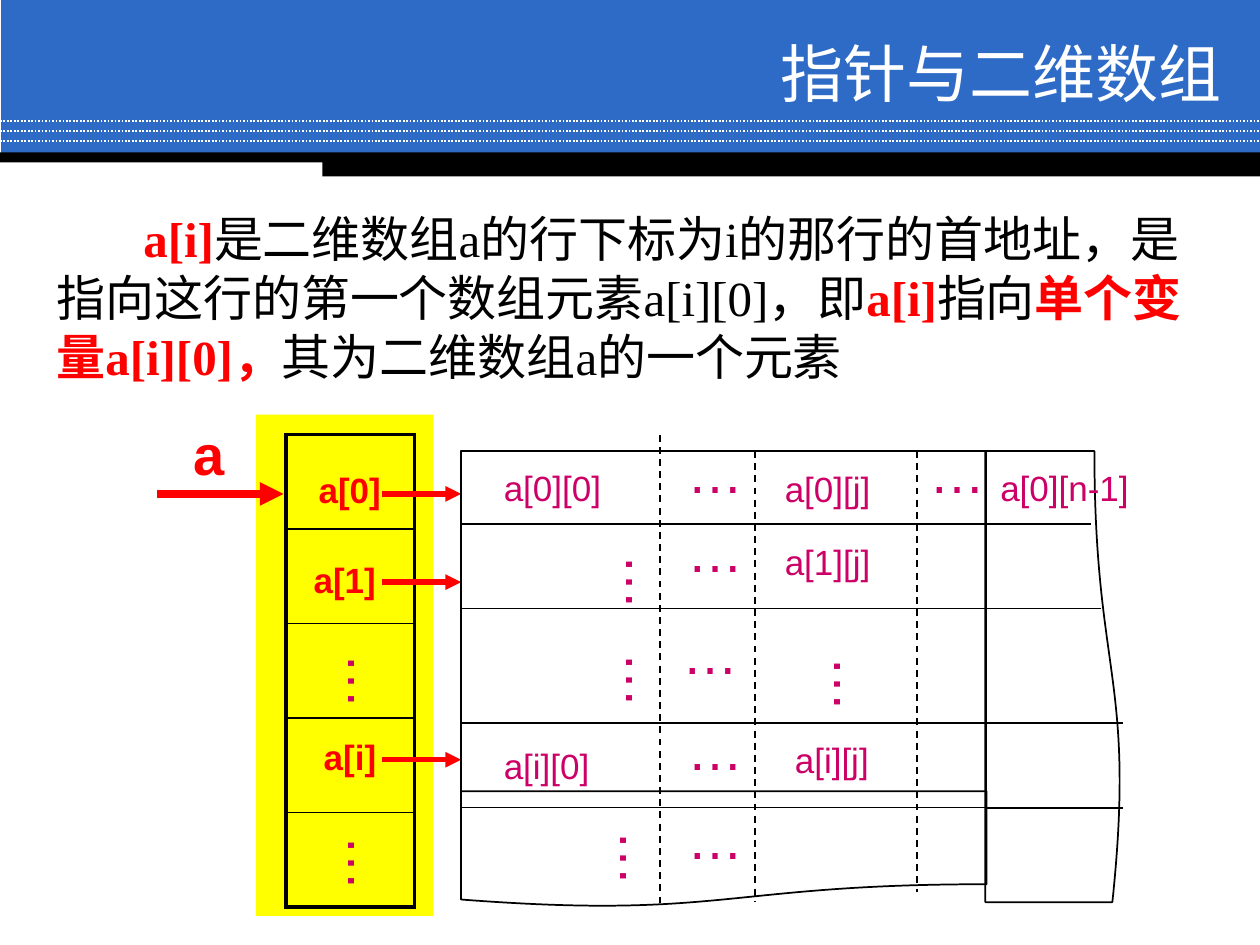
import dataclasses

import lxml.etree
import pptx
import pptx.dml.color
import pptx.enum.dml
import pptx.enum.shapes
import pptx.enum.text
import pptx.oxml.ns
import pptx.util

Inches = pptx.util.Inches
Pt = pptx.util.Pt
Shape = pptx.enum.shapes.MSO_SHAPE
Dash = pptx.enum.dml.MSO_LINE
Align = pptx.enum.text.PP_ALIGN
Anchor = pptx.enum.text.MSO_ANCHOR
qn = pptx.oxml.ns.qn


@dataclasses.dataclass(frozen=True)
class Theme:
    blue: str = "2D6BC7"
    black: str = "000000"
    white: str = "FFFFFF"
    yellow: str = "FFFF00"
    red: str = "FF0000"
    magenta: str = "CC0066"
    title: int = 36
    large: int = 32
    body: int = 28
    label: int = 20
    sans: str = "Arial"
    serif: str = "Times New Roman"
    chinese: str = "Noto Sans CJK SC"


@dataclasses.dataclass(frozen=True)
class Box:
    left: float
    top: float
    width: float
    height: float

    def inner(self, x, y, width, height):
        return Box(self.left + x, self.top + y, width, height)

    def lengths(self):
        return [Inches(value) for value in (self.left, self.top, self.width, self.height)]


THEME = Theme()


def rgb(value):
    return pptx.dml.color.RGBColor.from_string(value)


def add_text(page, box, spans, size=THEME.label, color=THEME.magenta, bold=False,
             font=THEME.sans, align=Align.LEFT, anchor=Anchor.TOP, vertical=False,
             margin=0, indent=0, spacing=None):
    frame = page.shapes.add_textbox(*box.lengths()).text_frame
    frame.word_wrap = True
    frame.vertical_anchor = anchor
    if vertical:
        frame._txBody.bodyPr.set("vert", "eaVert")
    para = frame.paragraphs[0]
    para.alignment = align
    para.line_spacing = spacing
    if margin or indent:
        properties = para._p.get_or_add_pPr()
        properties.set("marL", str(Inches(margin)))
        properties.set("indent", str(Inches(indent)))
    if isinstance(spans, str):
        spans = [(spans, color, bold)]
    for words, span_color, span_bold in spans:
        span = para.add_run()
        span.text = words
        span.font.size = Pt(size)
        span.font.name = font
        span.font.bold = span_bold
        span.font.color.rgb = rgb(span_color)
        if font != THEME.sans:
            east_asian = lxml.etree.SubElement(span._r.rPr, qn("a:ea"))
            east_asian.set("typeface", THEME.chinese)


def add_dots(page, box, x, y, vertical=False):
    size = (0.73, 0.75) if vertical else (0.67, 0.63)
    add_text(page, box.inner(x, y, *size), "…", size=THEME.large, vertical=vertical)


def add_block(page, box, kind=Shape.RECTANGLE, fill=None, outline=None, rotation=0):
    block = page.shapes.add_shape(kind, *box.lengths())
    block.shadow.inherit = False
    block.rotation = rotation
    if fill:
        block.fill.solid()
        block.fill.fore_color.rgb = rgb(fill)
    else:
        block.fill.background()
    if outline:
        block.line.color.rgb = rgb(outline)
        block.line.width = Pt(1)
    else:
        block.line.fill.background()


def add_line(page, box, start, end, color=THEME.black, width=1, dash=None, arrow=False):
    ends = [Inches(value) for x, y in (start, end) for value in (box.left + x, box.top + y)]
    line = page.shapes.add_connector(pptx.enum.shapes.MSO_CONNECTOR.STRAIGHT, *ends)
    line.line.color.rgb = rgb(color)
    line.line.width = Pt(width)
    if dash:
        line.line.dash_style = dash
    if arrow:
        lxml.etree.SubElement(line.line._get_or_add_ln(), qn("a:tailEnd")).set("type", "triangle")
    lxml.etree.SubElement(line._element.spPr, qn("a:effectLst"))


def set_borders(cell, **widths):
    properties = cell._tc.get_or_add_tcPr()
    for position, (side, width) in enumerate(widths.items()):
        border = lxml.etree.Element(qn(f"a:ln{side}"), w=str(Pt(width)))
        fill = lxml.etree.SubElement(border, qn("a:solidFill"))
        lxml.etree.SubElement(fill, qn("a:srgbClr")).set("val", THEME.black)
        properties.insert(position, border)


def add_pointer_table(page, box, rows):
    table = page.shapes.add_table(rows, 1, *box.lengths()).table
    table.first_row = table.horz_banding = False
    for index in range(rows):
        cell = table.cell(index, 0)
        cell.fill.background()
        set_borders(cell, L=2.25, R=2.25, T=2.25 if index == 0 else 1,
                    B=2.25 if index == rows - 1 else 1)


def add_header(page, box):
    add_block(page, box.inner(0.01, 0, box.width - 0.01, 1.23), fill=THEME.blue)
    for y in (0.96, 1.04, 1.12):
        add_line(page, box, (0, y), (box.width, y), color=THEME.white, dash=Dash.ROUND_DOT)
    add_block(page, box.inner(0, 1.21, box.width, 0.08), fill=THEME.black)
    add_block(page, box.inner(2.56, 1.24, box.width - 2.56, 0.16), fill=THEME.black)
    add_text(page, box.inner(2.87, 0.28, 6.92, 0.58), "指针与二维数组", size=THEME.title,
             color=THEME.white, font=THEME.chinese, align=Align.RIGHT, anchor=Anchor.MIDDLE)


def add_explanation(page, box):
    spans = [
        ("a[i]", THEME.red, True),
        ("是二维数组a的行下标为i的那行的首地址，是指向这行的第一个数组元素a[i][0]，即",
         THEME.black, False),
        ("a[i]", THEME.red, True),
        ("指向", THEME.black, False),
        ("单个变量a[i][0]，", THEME.red, True),
        ("其为二维数组a的一个元素", THEME.black, False),
    ]
    add_text(page, box, spans, size=THEME.body, font=THEME.serif,
             margin=0.09, indent=0.69, spacing=Pt(33.5))


def add_pointers(page, box):
    add_block(page, box, fill=THEME.yellow)
    add_pointer_table(page, box.inner(0.24, 0.16, 1.02, 3.75), 5)
    for words, x, y in (("a[0]", 0.4, 0.38), ("a[1]", 0.36, 1.09), ("a[i]", 0.44, 2.5)):
        add_text(page, box.inner(x, y, 0.75, 0.43), words, color=THEME.red, bold=True)
    for y in (1.8, 3.24):
        add_dots(page, box, 0.5, y, vertical=True)
    for y in (0.63, 1.33, 2.74):
        add_line(page, box, (1, y), (1.63, y), color=THEME.red, width=3, arrow=True)
    add_line(page, box, (-0.78, 0.63), (0.22, 0.63), color=THEME.red, width=4.5, arrow=True)
    add_text(page, box.inner(-0.59, -0.01, 0.75, 0.64), "a", size=THEME.large,
             color=THEME.red, bold=True)


def add_matrix(page, box):
    add_block(page, box.inner(0, 0, 4.17, 2.83), outline=THEME.black)
    add_block(page, box.inner(0, 2.7, 4.17, 0.92), Shape.FLOWCHART_DOCUMENT,
              outline=THEME.black)
    add_block(page, box.inner(2.91, 1.25, 3.58, 1.08), Shape.FLOWCHART_DOCUMENT,
              outline=THEME.black, rotation=270)
    for left, right, y in ((0, 5, 0.58), (0, 5.08, 1.25), (0, 5.25, 2.16), (4.16, 5.25, 2.83)):
        add_line(page, box, (left, y), (right, y))
    for x, top, bottom in ((1.58, -0.13, 3.62), (2.33, 0, 3.58), (3.62, 0, 3.5)):
        add_line(page, box, (x, top), (x, bottom), dash=Dash.DASH)
    elements = (("a[0][0]", 0.24, 0.07, 1.1), ("a[0][j]", 2.47, 0.08, 0.92),
                ("a[0][n-1]", 4.18, 0.07, 1.39), ("a[1][j]", 2.47, 0.66, 0.92),
                ("a[i][0]", 0.24, 2.28, 1.1), ("a[i][j]", 2.55, 2.23, 0.92))
    for words, x, y, width in elements:
        add_text(page, box.inner(x, y, width, 0.43), words)
    for x, y in ((1.7, -0.16), (3.62, -0.16), (1.7, 0.47), (1.66, 1.28), (1.7, 2.04), (1.7, 2.75)):
        add_dots(page, box, x, y)
    for x, y in ((1.08, 0.72), (1.08, 1.5), (2.73, 1.53), (1.03, 2.91)):
        add_dots(page, box, x, y, vertical=True)


def main():
    deck = pptx.Presentation()
    deck.slide_width = Inches(10)
    deck.slide_height = Inches(7.5)
    page = deck.slides.add_slide(deck.slide_layouts[6])
    add_header(page, Box(0, 0, 10, 1.4))
    add_explanation(page, Box(0.26, 1.61, 9.23, 1.51))
    add_pointers(page, Box(2.03, 3.29, 1.41, 3.98))
    add_matrix(page, Box(3.66, 3.58, 5.25, 3.62))
    deck.save("out.pptx")


if __name__ == "__main__":
    main()
